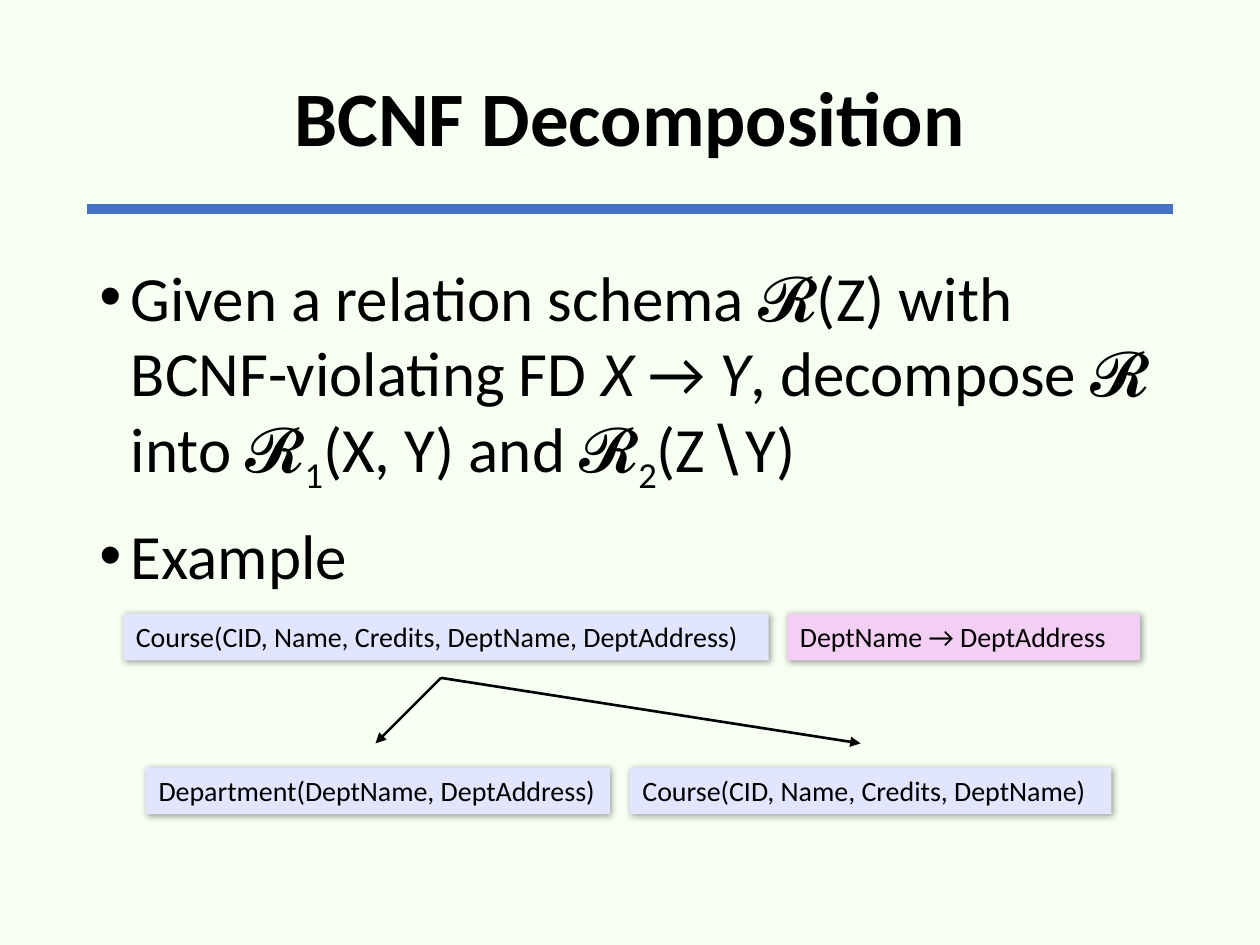
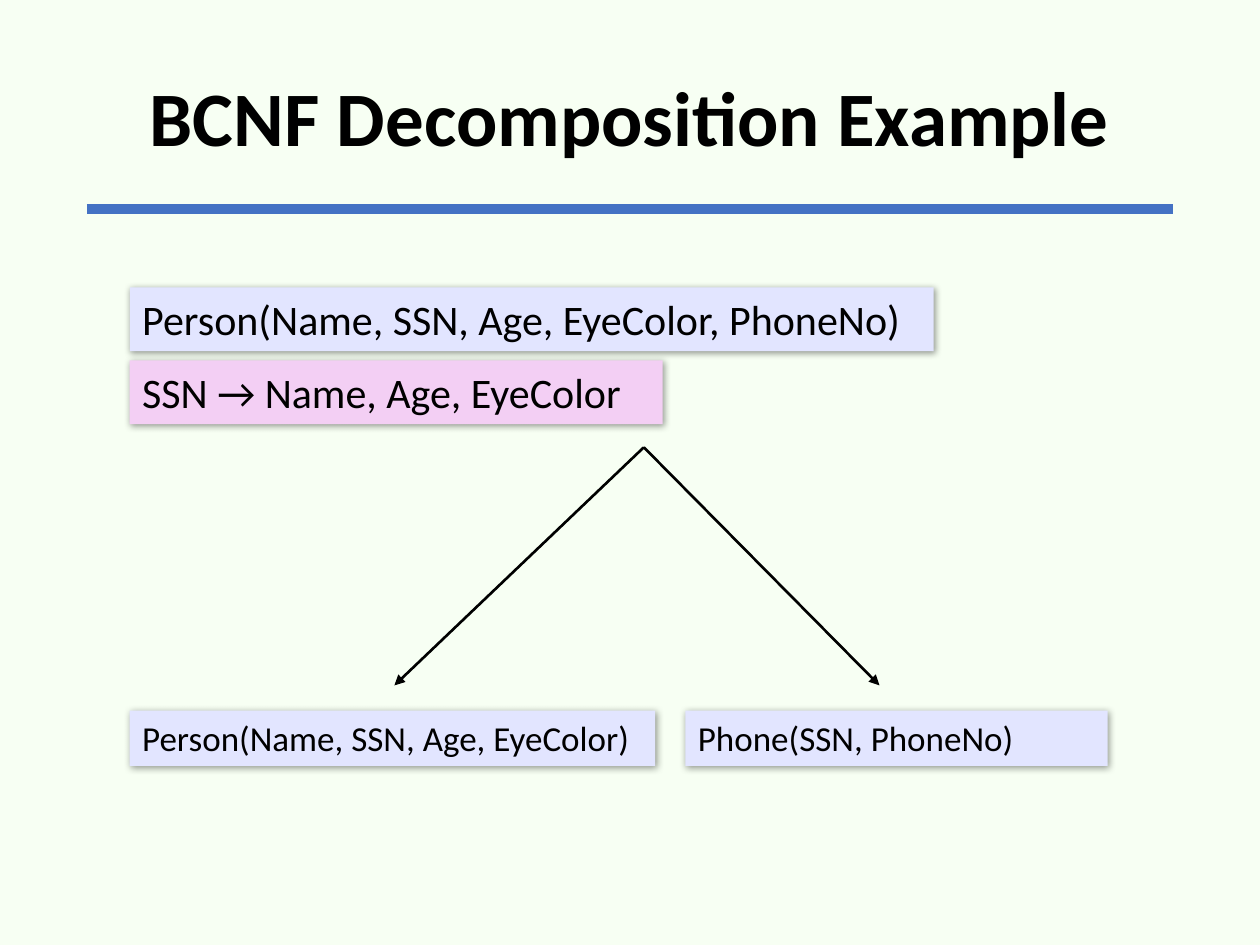
from dataclasses import dataclass

from lxml import etree
from pptx import Presentation
from pptx.dml.color import RGBColor
from pptx.enum.shapes import MSO_CONNECTOR
from pptx.enum.text import MSO_ANCHOR, MSO_AUTO_SIZE, PP_ALIGN
from pptx.oxml.ns import qn
from pptx.util import Inches, Pt

STRAIGHT = MSO_CONNECTOR.STRAIGHT
MIDDLE = MSO_ANCHOR.MIDDLE
CENTER = PP_ALIGN.CENTER
GROW = MSO_AUTO_SIZE.SHAPE_TO_FIT_TEXT
NO_AUTOFIT = MSO_AUTO_SIZE.NONE
TITLE_ONLY = 5


@dataclass(frozen=True)
class Theme:
    font: str = "Calibri"
    background: str = "F7FFF3"
    text: str = "000000"
    rule: str = "4472C4"
    relation: str = "E2E5FF"
    dependency: str = "F3CFF4"
    title_size: int = 44
    body_size: int = 36
    large: int = 24
    medium: int = 20
    small: int = 16
    rule_width: float = 6
    arrow_width: float = 1.5


THEME = Theme()
LEFT, WIDTH = 0.69, 8.62
TITLE_BOX = (LEFT, 0.24, WIDTH, 1.45)
BODY_BOX = (LEFT, 2, WIDTH, 4.76)
RULE_Y = 1.66


def rgb(color):
    return RGBColor.from_string(color)


def place(sp, box):
    sp.left, sp.top, sp.width, sp.height = (Inches(v) for v in box)


def add_run(p, text, size, bold=None, style=""):
    """Add a run; style is "", "italic" or "sub"."""
    r = p.add_run()
    r.text = text
    r.font.name = THEME.font
    r.font.size = Pt(size)
    r.font.color.rgb = rgb(THEME.text)
    r.font.bold = bold
    if style == "italic":
        r.font.italic = True
    elif style == "sub":
        r.font._element.set("baseline", "-25000")


def add_line(slide, start, end, color, width, arrow=False):
    line = slide.shapes.add_connector(STRAIGHT, *(Inches(v) for v in (*start, *end)))
    line.line.color.rgb = rgb(color)
    line.line.width = Pt(width)
    if arrow:
        etree.SubElement(line.line._get_or_add_ln(), qn("a:tailEnd"), type="triangle")
    etree.SubElement(line._element.spPr, qn("a:effectLst"))


def add_titled_slide(prs, title):
    slide = prs.slides.add_slide(prs.slide_layouts[TITLE_ONLY])
    add_line(slide, (LEFT, RULE_Y), (LEFT + WIDTH, RULE_Y), THEME.rule, THEME.rule_width)
    sp = slide.shapes.title
    place(sp, TITLE_BOX)
    tf = sp.text_frame
    tf.word_wrap = True
    tf.auto_size = NO_AUTOFIT
    tf.vertical_anchor = MIDDLE
    p = tf.paragraphs[0]
    p.alignment = CENTER
    p.line_spacing = 0.9
    add_run(p, title, THEME.title_size, bold=True)
    return slide


def add_bullets(slide, box, bullets):
    """Fill the box with bullets, each a list of (text, style) runs."""
    tf = slide.shapes.add_textbox(*(Inches(v) for v in box)).text_frame
    tf.word_wrap = True
    for i, runs in enumerate(bullets):
        p = tf.add_paragraph() if i else tf.paragraphs[0]
        pPr = p._p.get_or_add_pPr()
        pPr.set("marL", str(Inches(0.25)))
        pPr.set("indent", str(-Inches(0.25)))
        etree.SubElement(pPr, qn("a:buFont"), typeface="Arial")
        etree.SubElement(pPr, qn("a:buChar"), char="•")
        if i:
            p.space_before = Pt(12)
        for text, style in runs:
            add_run(p, text, THEME.body_size, style=style)


def add_soft_shadow(sp):
    sp.shadow.inherit = False
    effects = sp._element.spPr.find(qn("a:effectLst"))
    shadow = etree.SubElement(effects, qn("a:outerShdw"), blurRad=str(Pt(4)),
                              dist=str(Pt(1)), dir="2700000", algn="tl", rotWithShape="0")
    color = etree.SubElement(shadow, qn("a:srgbClr"), val="000000")
    etree.SubElement(color, qn("a:alpha"), val="40000")


def add_label(slide, left, top, width, text, size, fill):
    """Add a one-line label as high as its text."""
    height = size * 1.22 / 72 + 0.1
    sp = slide.shapes.add_textbox(*(Inches(v) for v in (left, top, width, height)))
    sp.fill.solid()
    sp.fill.fore_color.rgb = rgb(fill)
    add_soft_shadow(sp)
    tf = sp.text_frame
    tf.word_wrap = True
    tf.auto_size = GROW
    add_run(tf.paragraphs[0], text, size)


def add_decomposition(slide, origin, labels, fork, tips):
    """Draw labels and a fork of arrows, all measured from the origin."""
    x, y = origin
    for dx, dy, width, text, size, fill in labels:
        add_label(slide, x + dx, y + dy, width, text, size, fill)
    for dx, dy in tips:
        add_line(slide, (x + fork[0], y + fork[1]), (x + dx, y + dy),
                 THEME.text, THEME.arrow_width, arrow=True)


def build_definition_slide(prs):
    slide = add_titled_slide(prs, "BCNF Decomposition")
    add_bullets(slide, BODY_BOX, [
        [("Given a relation schema 𝓡(Z) with BCNF-violating FD ", ""),
         ("X", "italic"), (" → ", ""), ("Y", "italic"),
         (", decompose 𝓡 into 𝓡", ""), ("1", "sub"),
         ("(X, Y) and 𝓡", ""), ("2", "sub"), ("(Z∖Y)", "")],
        [("Example", "")],
    ])
    size = THEME.small
    add_decomposition(slide, (0.98, 4.87), [
        (0, 0, 5.12, "Course(CID, Name, Credits, DeptName, DeptAddress)", size, THEME.relation),
        (5.27, 0, 2.8, "DeptName → DeptAddress", size, THEME.dependency),
        (0.18, 1.22, 3.68, "Department(DeptName, DeptAddress)", size, THEME.relation),
        (4.02, 1.22, 3.82, "Course(CID, Name, Credits, DeptName)", size, THEME.relation),
    ], fork=(2.52, 0.51), tips=[(2, 1.03), (5.85, 1.03)])


def build_example_slide(prs):
    slide = add_titled_slide(prs, "BCNF Decomposition Example")
    add_decomposition(slide, (1.03, 2.28), [
        (0, 0, 6.38, "Person(Name, SSN, Age, EyeColor, PhoneNo)", THEME.large, THEME.relation),
        (0, 0.58, 4.23, "SSN → Name, Age, EyeColor", THEME.large, THEME.dependency),
        (0, 3.36, 4.17, "Person(Name, SSN, Age, EyeColor)", THEME.medium, THEME.relation),
        (4.41, 3.36, 3.35, "Phone(SSN, PhoneNo)", THEME.medium, THEME.relation),
    ], fork=(4.08, 1.27), tips=[(2.1, 3.16), (5.95, 3.16)])


def main():
    prs = Presentation()
    prs.slide_width, prs.slide_height = Inches(10), Inches(7.5)
    fill = prs.slide_master.background.fill
    fill.solid()
    fill.fore_color.rgb = rgb(THEME.background)
    build_definition_slide(prs)
    build_example_slide(prs)
    prs.save("out.pptx")


if __name__ == "__main__":
    main()
